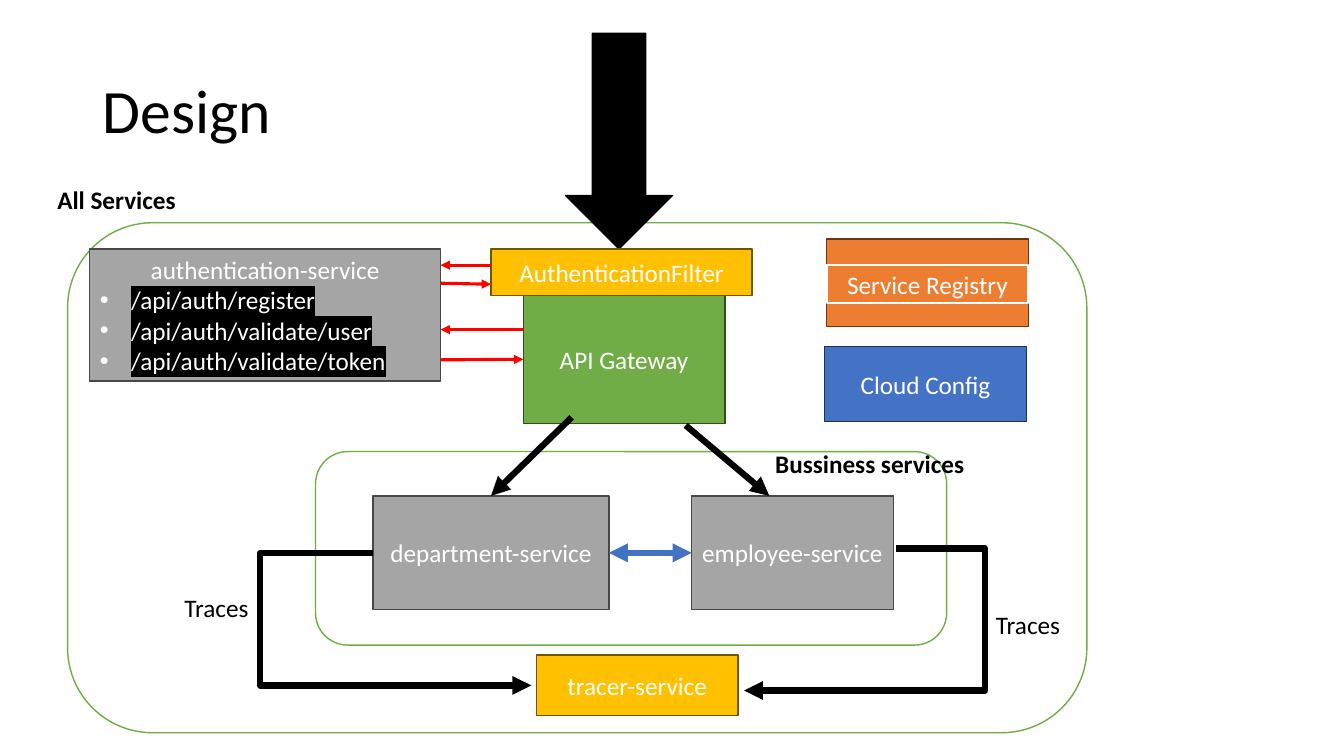
from dataclasses import dataclass
from typing import NamedTuple, Optional

from lxml import etree
from pptx import Presentation
from pptx import util as u
from pptx.dml.color import RGBColor
from pptx.enum import shapes, text
from pptx.oxml.ns import qn


@dataclass(frozen=True)
class Theme:
    font: str = "Calibri"
    title_size: int = 44
    text_size: int = 18
    black: str = "000000"
    white: str = "FFFFFF"
    gray: str = "A5A5A5"
    gray_edge: str = "484848"
    green: str = "70AD47"
    green_edge: str = "314C1F"
    gold: str = "FFC000"
    gold_edge: str = "705400"
    orange: str = "ED7D31"
    orange_edge: str = "683715"
    blue: str = "4472C4"
    blue_edge: str = "1E3256"
    red: str = "FF0000"


THEME = Theme()


class Place(NamedTuple):
    left: float
    top: float
    width: float
    height: float


class Box(NamedTuple):
    place: Place
    fill: str
    edge: str
    label: str = ""
    kind: shapes.MSO_SHAPE = shapes.MSO_SHAPE.RECTANGLE
    edge_width: float = 1


class Label(NamedTuple):
    words: str
    place: Place
    bold: bool = False


class Joint(NamedTuple):
    box: str
    side: int  # 0 top, 1 left, 2 bottom, 3 right


class Flow(NamedTuple):
    start: tuple[float, float]
    end: tuple[float, float]
    color: str = THEME.black
    width: float = 4.5
    bend_x: Optional[float] = None
    both_ways: bool = False
    start_joint: Optional[Joint] = None
    end_joint: Optional[Joint] = None


ROUNDED = shapes.MSO_SHAPE.ROUNDED_RECTANGLE
BOXES = {
    "all services": Box(Place(0.67, 2.21, 10.11, 5.06), THEME.white, THEME.green, kind=ROUNDED),
    "registry back": Box(Place(8.2, 2.37, 2, 0.87), THEME.orange, THEME.orange_edge),
    "registry": Box(Place(8.2, 2.63, 2, 0.38), THEME.orange, THEME.white,
                    "Service Registry", edge_width=1.5),
    "gateway": Box(Place(5.19, 2.93, 2, 1.27), THEME.green, THEME.green_edge, "API Gateway"),
    "config": Box(Place(8.18, 3.44, 2, 0.74), THEME.blue, THEME.blue_edge, "Cloud Config"),
    "business": Box(Place(3.13, 4.48, 6.26, 1.92), THEME.white, THEME.green, kind=ROUNDED),
    "department": Box(Place(3.7, 4.92, 2.34, 1.13), THEME.gray, THEME.gray_edge,
                      "department-service"),
    "employee": Box(Place(6.86, 4.92, 2, 1.13), THEME.gray, THEME.gray_edge, "employee-service"),
    "request": Box(Place(5.61, 0.33, 1.06, 2.14), THEME.black, THEME.black,
                   kind=shapes.MSO_SHAPE.DOWN_ARROW),
    "tracer": Box(Place(5.32, 6.5, 2, 0.6), THEME.gold, THEME.gold_edge, "tracer-service"),
    "filter": Box(Place(4.87, 2.47, 2.59, 0.46), THEME.gold, THEME.gold_edge,
                  "AuthenticationFilter"),
}
LABELS = [
    Label("Traces", Place(9.78, 6, 2, 0.4)),
    Label("Traces", Place(1.73, 5.83, 2, 0.4)),
    Label("All Services", Place(0.47, 1.78, 2, 0.4), bold=True),
    Label("Bussiness services", Place(7.59, 4.4, 2.53, 0.4), bold=True),
]
FLOWS = [
    Flow((6.8, 4.22), (7.63, 4.92)),
    Flow((5.67, 4.14), (4.87, 4.92), end_joint=Joint("department", 0)),
    Flow((8.89, 5.44), (7.38, 6.85), bend_x=9.77),
    Flow((3.7, 5.49), (5.27, 6.8), bend_x=2.58, start_joint=Joint("department", 1)),
    Flow((6.04, 5.44), (6.86, 5.44), THEME.blue, both_ways=True,
         start_joint=Joint("department", 3), end_joint=Joint("employee", 1)),
    Flow((4.87, 2.63), (4.37, 2.63), THEME.red, 2.25),
    Flow((4.37, 2.81), (4.87, 2.82), THEME.red, 2.25),
    Flow((5.19, 3.27), (4.37, 3.27), THEME.red, 2.25),
    Flow((4.37, 3.57), (5.19, 3.56), THEME.red, 2.25, end_joint=Joint("gateway", 1)),
]
AUTH_PLACE = Place(0.89, 2.47, 3.48, 1.31)
AUTH_PATHS = ["/api/auth/register", "/api/auth/validate/user", "/api/auth/validate/token"]


def inches(values) -> list[u.Length]:
    return [u.Inches(value) for value in values]


def move(shape, place: Place) -> None:
    shape.left, shape.top, shape.width, shape.height = inches(place)


def paint(shape, fill: str, edge: str, edge_width: float = 1) -> None:
    shape.fill.solid()
    shape.fill.fore_color.rgb = RGBColor.from_string(fill)
    shape.line.color.rgb = RGBColor.from_string(edge)
    shape.line.width = u.Pt(edge_width)


def write(paragraph, words: str, *, size: int = THEME.text_size, color: str = THEME.white,
          bold: bool = False, align=text.PP_ALIGN.CENTER, highlight: str = "") -> None:
    paragraph.alignment = align
    paragraph.space_before = u.Pt(0)
    run = paragraph.add_run()
    run.text = words
    run.font.name, run.font.size, run.font.bold = THEME.font, u.Pt(size), bold
    run.font.color.rgb = RGBColor.from_string(color)
    if highlight:
        mark = etree.Element(qn("a:highlight"))
        etree.SubElement(mark, qn("a:srgbClr"), val=highlight)
        run.font._element.find(qn("a:solidFill")).addnext(mark)


def set_bullet(paragraph, mark: str = "") -> None:
    props = paragraph._p.get_or_add_pPr()
    indent = u.Inches(0.31) if mark else 0
    props.set("marL", str(indent))
    props.set("indent", str(-indent))
    if mark:
        etree.SubElement(props, qn("a:buChar"), char=mark)
    else:
        etree.SubElement(props, qn("a:buNone"))


def draw_box(slide, box: Box):
    shape = slide.shapes.add_shape(box.kind, *inches(box.place))
    shape.shadow.inherit = False
    paint(shape, box.fill, box.edge, box.edge_width)
    if box.label:
        shape.text_frame.vertical_anchor = text.MSO_ANCHOR.MIDDLE
        write(shape.text_frame.paragraphs[0], box.label)
    return shape


def draw_label(slide, label: Label) -> None:
    frame = slide.shapes.add_textbox(*inches(label.place)).text_frame
    frame.word_wrap = True
    frame.auto_size = text.MSO_AUTO_SIZE.SHAPE_TO_FIT_TEXT
    write(frame.paragraphs[0], label.words, color=THEME.black, bold=label.bold,
          align=text.PP_ALIGN.LEFT)


def draw_flow(slide, flow: Flow, drawn: dict) -> None:
    bent = flow.bend_x is not None
    kind = shapes.MSO_CONNECTOR.ELBOW if bent else shapes.MSO_CONNECTOR.STRAIGHT
    link = slide.shapes.add_connector(kind, *inches(flow.start + flow.end))
    if flow.start_joint:
        link.begin_connect(drawn[flow.start_joint.box], flow.start_joint.side)
    if flow.end_joint:
        link.end_connect(drawn[flow.end_joint.box], flow.end_joint.side)
    link.line.color.rgb = RGBColor.from_string(flow.color)
    link.line.width = u.Pt(flow.width)
    props = link._element.spPr
    if bent:
        share = (flow.bend_x - flow.start[0]) / (flow.end[0] - flow.start[0])
        guides = props.find(qn("a:prstGeom")).get_or_add_avLst()
        etree.SubElement(guides, qn("a:gd"), name="adj1", fmla=f"val {round(share * 100000)}")
    outline = props.find(qn("a:ln"))
    for tip in ["a:headEnd", "a:tailEnd"] if flow.both_ways else ["a:tailEnd"]:
        etree.SubElement(outline, qn(tip), type="triangle")
    etree.SubElement(props, qn("a:effectLst"))


def fill_auth_service(slide, body) -> None:
    move(body, AUTH_PLACE)
    paint(body, THEME.gray, THEME.gray_edge)
    frame = body.text_frame
    frame.auto_size = text.MSO_AUTO_SIZE.NONE
    frame.vertical_anchor = text.MSO_ANCHOR.MIDDLE
    heading = frame.paragraphs[0]
    write(heading, "authentication-service")
    set_bullet(heading)
    for route in AUTH_PATHS:
        item = frame.add_paragraph()
        write(item, route, align=text.PP_ALIGN.LEFT, highlight=THEME.black)
        set_bullet(item, "•")
    slide.shapes._spTree.append(body._element)  # bring in front of the panel


def main() -> None:
    deck = Presentation()
    deck.slide_width, deck.slide_height = inches((13.33, 7.5))
    slide = deck.slides.add_slide(deck.slide_layouts[1])

    # Title
    title = slide.shapes.title
    move(title, Place(0.92, 0.4, 11.5, 1.45))
    title.text_frame.vertical_anchor = text.MSO_ANCHOR.MIDDLE
    heading = title.text_frame.paragraphs[0]
    heading.line_spacing = 0.9
    write(heading, "Design", size=THEME.title_size, color=THEME.black, align=text.PP_ALIGN.LEFT)

    # Services, their labels and the flows between them
    drawn = {name: draw_box(slide, box) for name, box in BOXES.items()}
    fill_auth_service(slide, slide.placeholders[1])
    for label in LABELS:
        draw_label(slide, label)
    for flow in FLOWS:
        draw_flow(slide, flow, drawn)

    deck.save("out.pptx")


if __name__ == "__main__":
    main()
